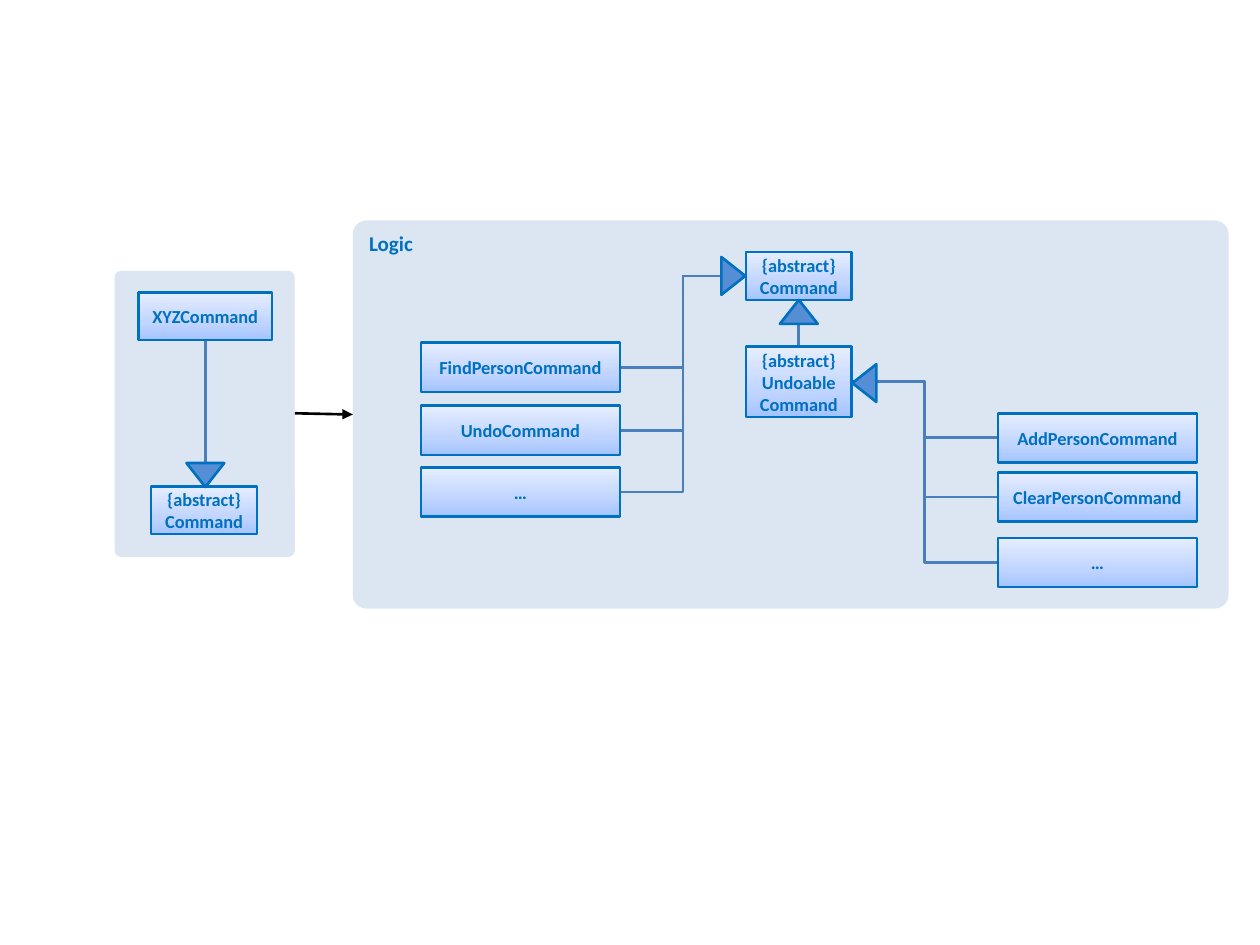
import copy

import pptx
import pptx.dml.color
import pptx.enum.shapes
import pptx.enum.text
import pptx.oxml.ns
import pptx.oxml.xmlchemy
import pptx.util

Inches = pptx.util.Inches
Pt = pptx.util.Pt
RGBColor = pptx.dml.color.RGBColor
SHAPE = pptx.enum.shapes.MSO_SHAPE
CONNECTOR = pptx.enum.shapes.MSO_CONNECTOR
ALIGN = pptx.enum.text.PP_ALIGN
ANCHOR = pptx.enum.text.MSO_ANCHOR

PANEL = RGBColor(0xDC, 0xE6, 0xF2)
BLUE = RGBColor(0x00, 0x70, 0xC0)
ARROW = RGBColor(0x55, 0x8E, 0xD5)
LINK = RGBColor(0x4B, 0x7E, 0xBC)
BLACK = RGBColor(0x00, 0x00, 0x00)
GRADIENT = (
    (0, RGBColor(0xA4, 0xC4, 0xFF)),
    (0.35, RGBColor(0xBF, 0xD4, 0xFF)),
    (1, RGBColor(0xE6, 0xEE, 0xFF)),
)

ABSTRACT_W, ABSTRACT_H = 0.84, 0.38
COMMAND_W, COMMAND_H = 1.58, 0.39
UP, RIGHT, DOWN, LEFT = 0, 90, 180, 270


def add_shape(slide, kind, x, y, w, h):
    """Add a preset shape without a shadow."""
    s = slide.shapes.add_shape(kind, Inches(x), Inches(y), Inches(w), Inches(h))
    s.shadow.inherit = False
    return s


def outline(s):
    """Give a shape the blue border."""
    s.line.color.rgb = BLUE
    s.line.width = Pt(1.5)


def write(s, paragraphs, size, align, anchor):
    """Write bold blue paragraphs into a shape."""
    tf = s.text_frame
    tf.word_wrap = True
    tf.vertical_anchor = anchor
    for i, text in enumerate(paragraphs):
        p = tf.add_paragraph() if i else tf.paragraphs[0]
        p.text = text
        p.alignment = align
        p.font.name = "Calibri"
        p.font.size = Pt(size)
        p.font.bold = True
        p.font.color.rgb = BLUE


def add_panel(slide, x, y, w, h, title=None):
    """Add a pale rounded panel with an optional title."""
    s = add_shape(slide, SHAPE.ROUNDED_RECTANGLE, x, y, w, h)
    s.adjustments[0] = 0.035
    s.fill.solid()
    s.fill.fore_color.rgb = PANEL
    s.line.fill.background()
    if title:
        write(s, [title], 12, ALIGN.LEFT, ANCHOR.TOP)


def add_class(slide, x, y, w, h, *paragraphs):
    """Add a class box with a vertical gradient."""
    s = add_shape(slide, SHAPE.RECTANGLE, x, y, w, h)
    s.fill.gradient()
    s.fill.gradient_angle = 90
    stops = s._element.spPr.find(".//" + pptx.oxml.ns.qn("a:gsLst"))
    stops.append(copy.deepcopy(stops[0]))
    for stop, (position, color) in zip(s.fill.gradient_stops, GRADIENT):
        stop.position = position
        stop.color.rgb = color
    outline(s)
    write(s, paragraphs, 10.5, ALIGN.CENTER, ANCHOR.MIDDLE)


def add_triangle(slide, cx, cy, direction):
    """Add an inheritance triangle centred on a point."""
    w, h = 0.3, 0.19
    s = add_shape(slide, SHAPE.ISOSCELES_TRIANGLE, cx - w / 2, cy - h / 2, w, h)
    s.rotation = direction
    s.fill.solid()
    s.fill.fore_color.rgb = ARROW
    outline(s)


def add_link(slide, kind, start, end, color=LINK):
    """Add a connector between two points and return its line element."""
    c = slide.shapes.add_connector(kind, *map(Inches, start + end))
    c.line.color.rgb = color
    c.line.width = Pt(1.5)
    pptx.oxml.ns.qn("a:effectLst")
    c._element.spPr.append(
        c._element.makeelement(pptx.oxml.ns.qn("a:effectLst"), {}))
    return c.line._get_or_add_ln()


def add_subclasses(slide, x, edge, parent, children):
    """Add command boxes, each linked from its edge to the parent point."""
    for y, name in children:
        add_link(slide, CONNECTOR.ELBOW, parent, (edge, y + COMMAND_H / 2))
        add_class(slide, x, y, COMMAND_W, COMMAND_H, name)


def add_logic(slide):
    """Add the Logic panel with its command hierarchy."""
    x = 5.92
    center, right = x + ABSTRACT_W / 2, x + ABSTRACT_W
    add_panel(slide, 2.8, 1.75, 6.95, 3.08, "Logic")
    add_link(slide, CONNECTOR.STRAIGHT, (center, 2.38), (center, 2.75))
    add_subclasses(slide, 3.34, 4.92, (x, 2.19), [
        (2.72, "FindPersonCommand"), (3.22, "UndoCommand"), (3.71, "…")])
    add_subclasses(slide, 7.92, 7.92, (right, 3.03), [
        (3.28, "AddPersonCommand"), (3.75, "ClearPersonCommand"), (4.27, "…")])
    add_class(slide, x, 2, ABSTRACT_W, ABSTRACT_H, "{abstract}\nCommand")
    add_class(slide, x, 2.75, ABSTRACT_W, 0.56, "{abstract}\nUndoable", "Command")
    add_triangle(slide, center, 2.475, UP)
    add_triangle(slide, right + 0.1, 3.04, LEFT)
    add_triangle(slide, x - 0.1, 2.19, RIGHT)


def add_custom_command(slide):
    """Add the panel with a single command and its parent."""
    center = 1.63
    add_panel(slide, 0.91, 2.15, 1.43, 2.27)
    add_link(slide, CONNECTOR.STRAIGHT, (center, 3.68), (center, 2.7))
    add_class(slide, 1.1, 2.32, 1.06, ABSTRACT_H, "XYZCommand")
    add_class(slide, 1.2, 3.86, ABSTRACT_W, ABSTRACT_H, "{abstract}\nCommand")
    add_triangle(slide, center, 3.77, DOWN)


def main():
    """Build the command class diagram."""
    prs = pptx.Presentation()
    prs.slide_width = Inches(10)
    prs.slide_height = Inches(7.5)
    slide = prs.slides.add_slide(prs.slide_layouts[6])
    add_custom_command(slide)
    add_logic(slide)
    ln = add_link(slide, CONNECTOR.STRAIGHT, (2.34, 3.28), (2.8, 3.29), BLACK)
    ln.append(ln.makeelement(pptx.oxml.ns.qn("a:tailEnd"), {"type": "triangle"}))
    prs.save("out.pptx")


if __name__ == "__main__":
    main()
